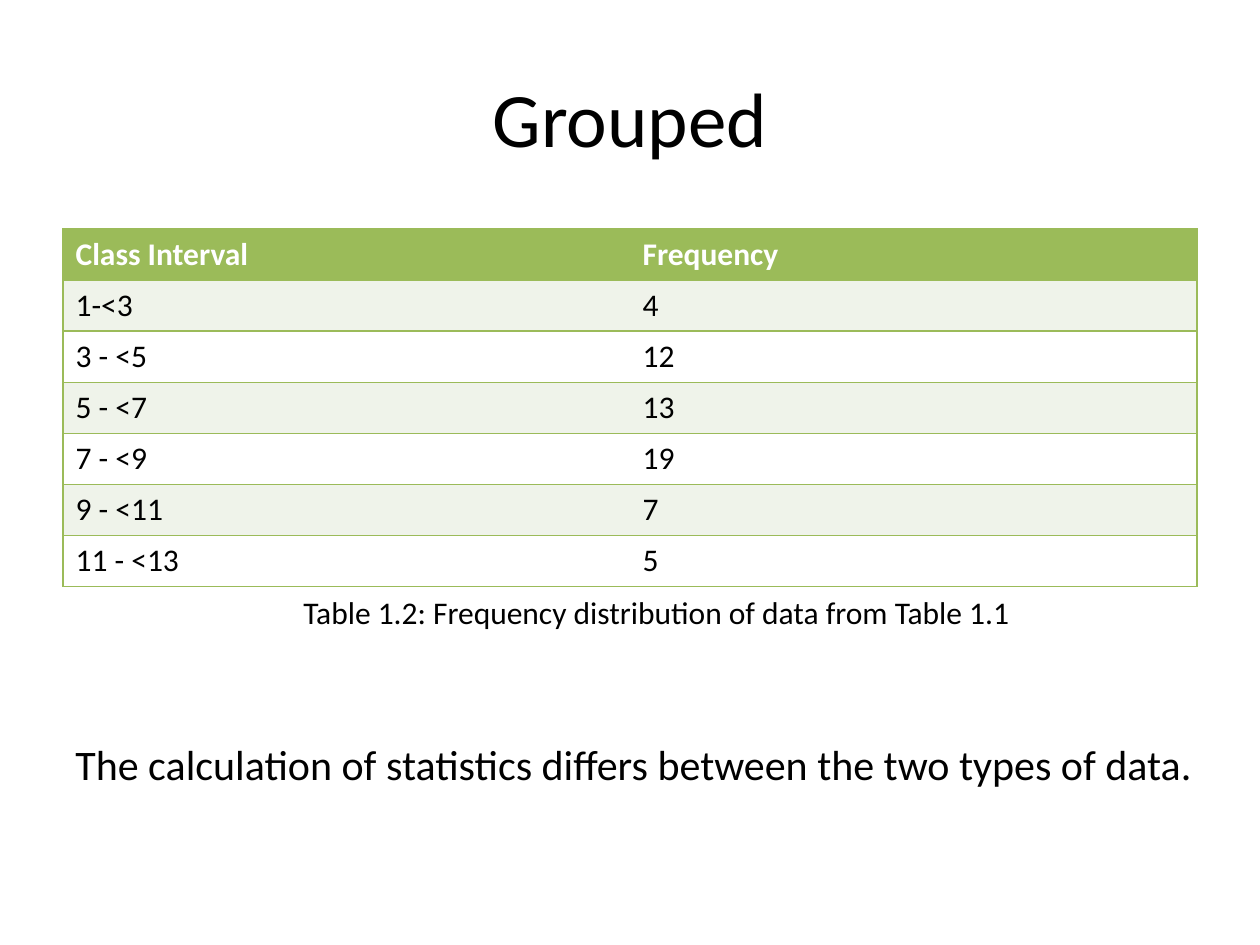
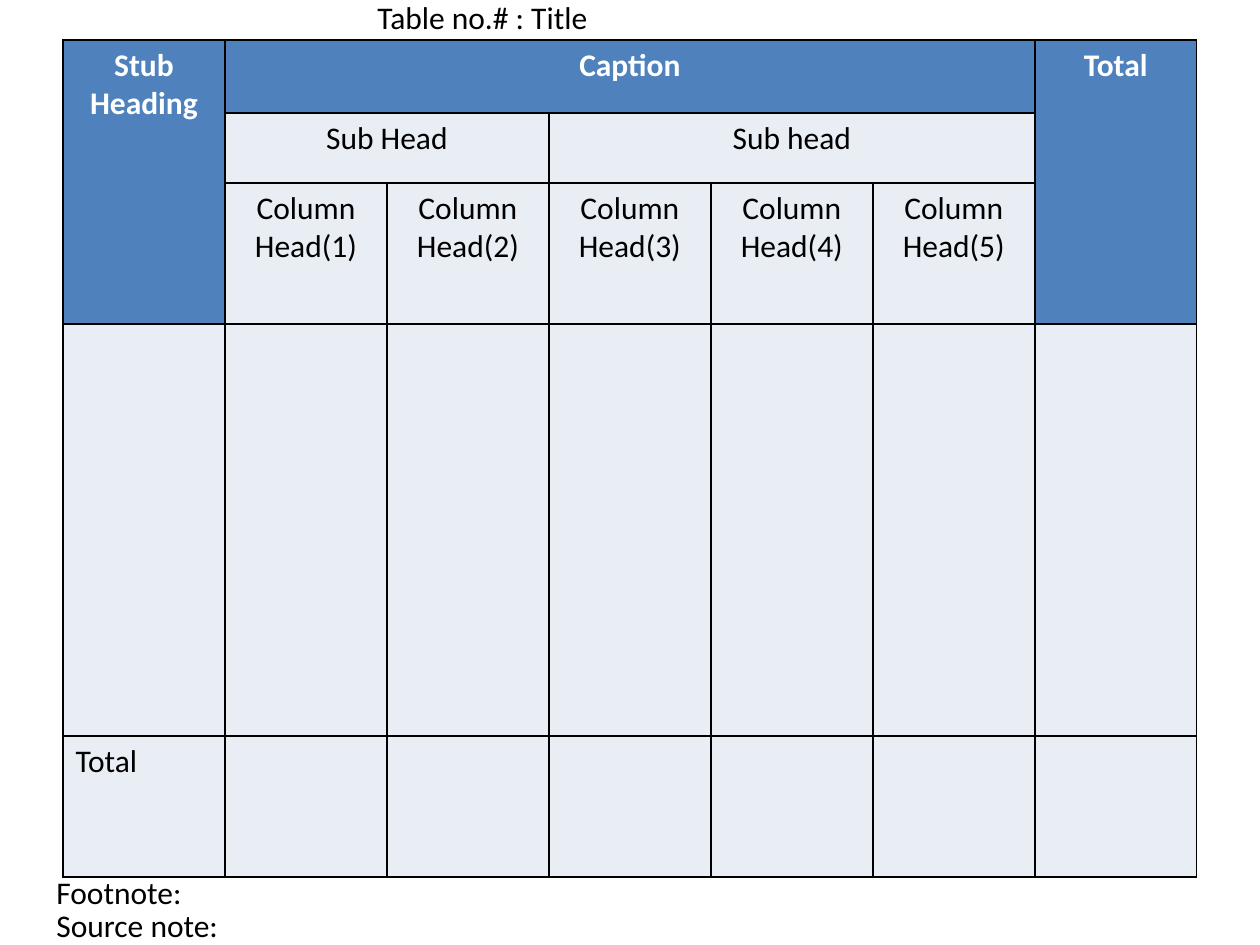
import pptx
import pptx.util
import pptx.dml.color
import pptx.enum.text
import pptx.oxml
import pptx.oxml.ns
import lxml.etree

FONT = "Calibri"
BLACK, WHITE = "000000", "FFFFFF"
GREEN, PALE_GREEN = "9BBB59", "EFF3EA"
BLUE, PALE_BLUE = "4F81BD", "E9EDF4"
CENTER = pptx.enum.text.PP_ALIGN.CENTER
LEFT = pptx.enum.text.PP_ALIGN.LEFT

FREQUENCIES = [
    ("Class Interval", "Frequency"),
    ("1-<3", "4"),
    ("3 - <5", "12"),
    ("5 - <7", "13"),
    ("7 - <9", "19"),
    ("9 - <11", "7"),
    ("11 - <13", "5"),
]
GROUPED_NOTES = [
    ("Table 1.2: Frequency distribution of data from Table 1.1", (291, 587, 746, 51), 18),
    ("The calculation of statistics differs between the two types of data.", (63, 732, 1159, 63), 24),
]

LAYOUT_ROWS = [73, 70, 141, 412, 141]
HEADS = [
    ("Stub Heading", 0, 0, 3, 1),
    ("Caption", 0, 1, 1, 5),
    ("Total", 0, 6, 3, 1),
]
SUB_HEADS = [
    ("Sub Head", 1, 1, 1, 2),
    ("Sub head", 1, 3, 1, 3),
] + [(f"Column Head({n})", 2, n, 1, 1) for n in range(1, 6)]
LAYOUT_NOTES = [
    ("Footnote:", (44, 867, 188, 51), 18),
    ("Source note:", (44, 900, 224, 51), 18),
    ("Table no.# : Title", (365, -8, 334, 51), 18),
]

TABLE_LEFT, TABLE_WIDTH = 63, 1134


def px(n):
    return round(n * 914400 / 126)


def rgb(value):
    return pptx.dml.color.RGBColor.from_string(value)


def write(tf, text, size=18, color=BLACK, bold=False, align=LEFT):
    p = tf.paragraphs[0]
    p.alignment = align
    r = p.add_run()
    r.text = text
    r.font.name = FONT
    r.font.size = pptx.util.Pt(size)
    r.font.bold = bold
    r.font.color.rgb = rgb(color)


def add_notes(s, notes, wrap):
    for text, box, size in notes:
        tf = s.shapes.add_textbox(*map(px, box)).text_frame
        tf.word_wrap = wrap
        write(tf, text, size=size)


def style_cell(cell, fill, borders):
    tc_pr = cell._tc.get_or_add_tcPr()
    for side in "LRTB":
        ln = lxml.etree.SubElement(tc_pr, pptx.oxml.ns.qn(f"a:ln{side}"), w="12700")
        if side in borders:
            solid = lxml.etree.SubElement(ln, pptx.oxml.ns.qn("a:solidFill"))
            lxml.etree.SubElement(solid, pptx.oxml.ns.qn("a:srgbClr"), val=borders[side])
        else:
            lxml.etree.SubElement(ln, pptx.oxml.ns.qn("a:noFill"))
    cell.fill.solid()
    cell.fill.fore_color.rgb = rgb(fill)


def add_table(s, top, heights, n_cols):
    frame = s.shapes.add_table(len(heights), n_cols, px(TABLE_LEFT), px(top),
                               px(TABLE_WIDTH), px(sum(heights)))
    table = frame.table
    for row, height in zip(table.rows, heights):
        row.height = px(height)
    for column in table.columns:
        column.width = px(TABLE_WIDTH / n_cols)
    return table


def add_grouped_slide(prs):
    s = prs.slides.add_slide(prs.slide_layouts[5])
    title = s.shapes.title
    title.left, title.top, title.width, title.height = map(px, (63, 38, 1134, 157))
    write(title.text_frame, "Grouped", size=44, align=CENTER)
    table = add_table(s, 229, [51] * len(FREQUENCIES), 2)
    for i, row in enumerate(FREQUENCIES):
        fill = GREEN if i == 0 else (WHITE, PALE_GREEN)[i % 2]
        for j, text in enumerate(row):
            cell = table.cell(i, j)
            style_cell(cell, fill, dict.fromkeys("TB" + "LR"[j], GREEN))
            write(cell.text_frame, text, color=BLACK if i else WHITE, bold=i == 0)
    add_notes(s, GROUPED_NOTES, wrap=False)


def add_layout_slide(prs):
    s = prs.slides.add_slide(prs.slide_layouts[6])
    table = add_table(s, 40, LAYOUT_ROWS, 7)
    head_cells = {(i, j) for _, top, left, rows, cols in HEADS
                  for i in range(top, top + rows) for j in range(left, left + cols)}
    for i in range(len(LAYOUT_ROWS)):
        for j in range(7):
            fill = BLUE if (i, j) in head_cells else PALE_BLUE
            style_cell(table.cell(i, j), fill, dict.fromkeys("LRTB", BLACK))
    for heads, color in ((HEADS, WHITE), (SUB_HEADS, BLACK)):
        for text, i, j, rows, cols in heads:
            cell = table.cell(i, j)
            if rows * cols > 1:
                cell.merge(table.cell(i + rows - 1, j + cols - 1))
            write(cell.text_frame, text, color=color, bold=color == WHITE, align=CENTER)
    write(table.cell(4, 0).text_frame, "Total")
    add_notes(s, LAYOUT_NOTES, wrap=True)


prs = pptx.Presentation()
prs.slide_width, prs.slide_height = px(1260), px(945)
add_grouped_slide(prs)
add_layout_slide(prs)
prs.save("out.pptx")
